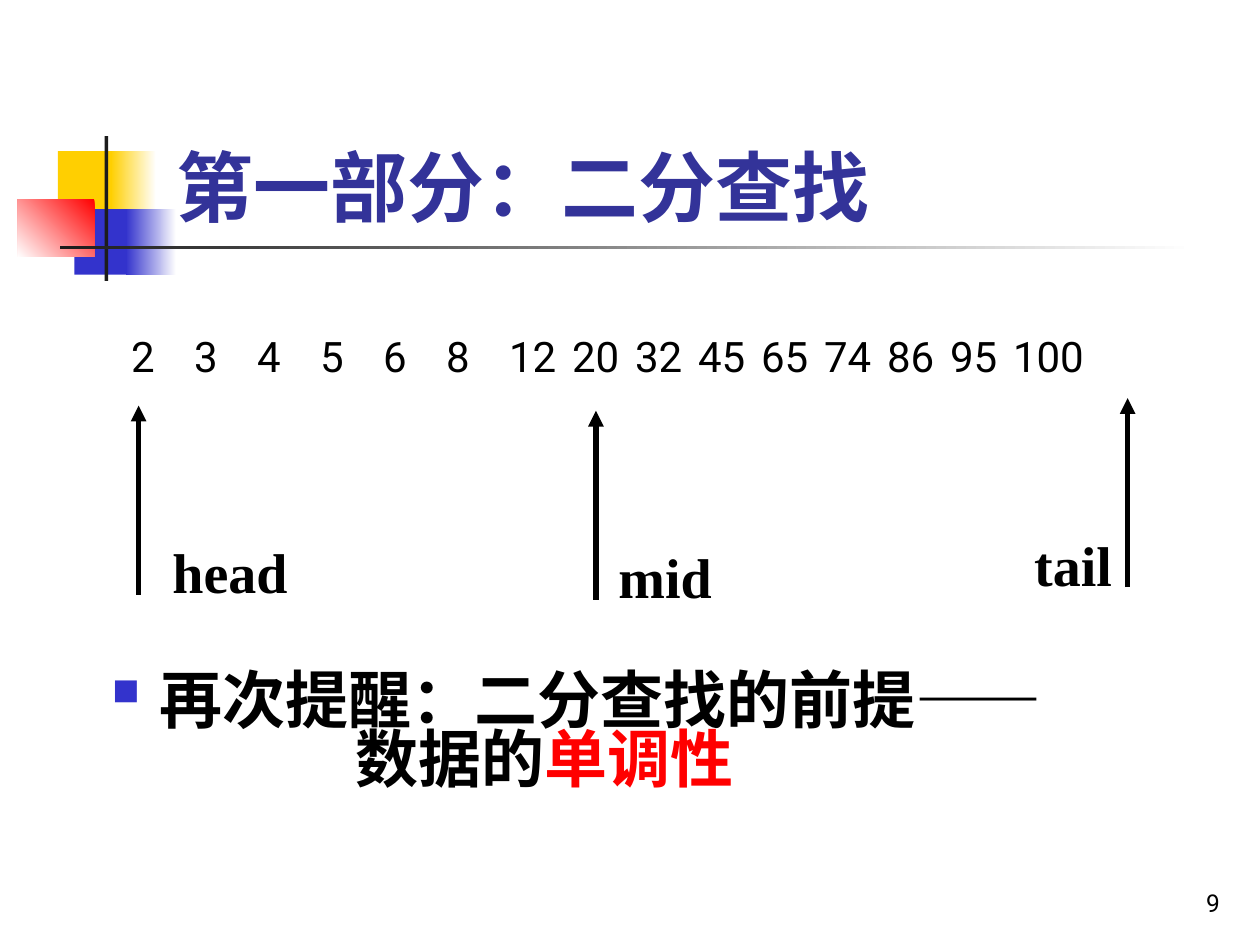
from lxml.etree import SubElement
from pptx import Presentation
from pptx.dml.color import RGBColor
from pptx.enum.shapes import MSO_CONNECTOR, MSO_SHAPE
from pptx.enum.text import MSO_ANCHOR, MSO_AUTO_SIZE, PP_ALIGN
from pptx.oxml.ns import qn
from pptx.util import Inches, Pt

COLORS = {
    "yellow": "FFCF01",
    "blue": "3333CC",
    "red": "FF0000",
    "white": "FFFFFF",
    "charcoal": "1C1C1C",
    "title": "333399",
    "text": "000000",
}
CHINESE_FONT = "Noto Sans CJK SC"
NUMBERS = [2, 3, 4, 5, 6, 8, 12, 20, 32, 45, 65, 74, 86, 95, 100]
SINGLE_DIGITS = 6
SINGLE_STEP = 2.61 / SINGLE_DIGITS
DOUBLE_STEP = 0.54
ARROW_LENGTH = 1.5


def color(name):
    return RGBColor.from_string(COLORS[name])


def place(shape, left, top, width, height):
    shape.left, shape.top = Inches(left), Inches(top)
    shape.width, shape.height = Inches(width), Inches(height)


def add_block(page, bounds, fill, end_fill=None, angle=180):
    block = page.shapes.add_shape(MSO_SHAPE.RECTANGLE, *map(Inches, bounds))
    block.shadow.inherit = False
    block.line.fill.background()
    if end_fill is None:
        block.fill.solid()
        block.fill.fore_color.rgb = color(fill)
        return
    block.fill.gradient()
    block.fill.gradient_angle = angle
    for stop, name in zip(block.fill.gradient_stops, (fill, end_fill)):
        stop.color.rgb = color(name)


def add_ornament(page):
    add_block(page, (0.46, 1.2, 0.48, 0.52), "yellow")
    add_block(page, (0.88, 1.2, 0.36, 0.52), "white", "yellow")
    add_block(page, (0.59, 1.66, 0.46, 0.52), "blue")
    add_block(page, (1, 1.66, 0.4, 0.52), "white", "blue")
    add_block(page, (0.14, 1.58, 0.61, 0.46), "red", "white", 225)
    add_block(page, (0.83, 1.08, 0.03, 1.15), "charcoal")
    add_block(page, (0.48, 1.95, 9, 0.03), "white", "charcoal")


def style(para, size, font="Roboto", fill="text", bold=False):
    para.font.size = Pt(size)
    para.font.name = font
    para.font.bold = bold
    para.font.color.rgb = color(fill)
    defaults = para._p.pPr.find(qn("a:defRPr"))
    SubElement(defaults, qn("a:ea"), typeface=CHINESE_FONT)


def indent(para, left, first=0):
    properties = para._p.get_or_add_pPr()
    properties.set("marL", str(Inches(left)))
    properties.set("indent", str(Inches(first)))
    return properties


def add_text_box(page, bounds):
    box = page.shapes.add_textbox(*map(Inches, bounds))
    box.text_frame.word_wrap = True
    return box.text_frame


def fill_title(page):
    title = page.shapes.title
    place(title, 1.3, 0.84, 6.83, 1.05)
    frame = title.text_frame
    frame.auto_size = MSO_AUTO_SIZE.NONE
    frame.vertical_anchor = MSO_ANCHOR.BOTTOM
    para = frame.paragraphs[0]
    para.text = "第一部分：二分查找"
    para.alignment = PP_ALIGN.LEFT
    style(para, 44, fill="title", bold=True)


def fill_numbers(page):
    body = page.placeholders[1]
    place(body, 0.94, 2.57, 8.31, 0.65)
    body.text_frame.auto_size = MSO_AUTO_SIZE.NONE
    para = body.text_frame.paragraphs[0]
    para.add_run().text = "\t".join(map(str, NUMBERS))
    para.space_before = Pt(0)
    properties = indent(para, 0)
    SubElement(properties, qn("a:buNone"))
    tabs = SubElement(properties, qn("a:tabLst"))
    for index in range(1, len(NUMBERS)):
        singles = min(index, SINGLE_DIGITS)
        position = singles * SINGLE_STEP + (index - singles) * DOUBLE_STEP
        SubElement(tabs, qn("a:tab"), pos=str(Inches(position)), algn="l")
    style(para, 24)


def add_pointer(page, name, x, tip, label_left, label_width):
    arrow = page.shapes.add_connector(
        MSO_CONNECTOR.STRAIGHT,
        Inches(x), Inches(tip + ARROW_LENGTH), Inches(x), Inches(tip),
    )
    arrow.line.color.rgb = color("text")
    arrow.line.width = Pt(3)
    SubElement(arrow.line._get_or_add_ln(), qn("a:tailEnd"), type="triangle")
    SubElement(arrow._element.spPr, qn("a:effectLst"))
    frame = add_text_box(page, (label_left, tip + 1, label_width, 0.64))
    para = frame.paragraphs[0]
    para.text = name
    style(para, 32, "Times New Roman", bold=True)


def add_bullet(properties):
    bullet_color = SubElement(properties, qn("a:buClr"))
    SubElement(bullet_color, qn("a:srgbClr"), val=COLORS["blue"])
    SubElement(properties, qn("a:buSzPct"), val="60000")
    SubElement(properties, qn("a:buChar"), char="■")


def add_reminder(page):
    frame = add_text_box(page, (0.79, 5.36, 8.5, 1.08))
    first, second = frame.paragraphs[0], frame.add_paragraph()
    first.text = "再次提醒：二分查找的前提——"
    second.add_run().text = "数据的"
    emphasis = second.add_run()
    emphasis.text = "单调性"
    for para in (first, second):
        para.line_spacing = 0.7
        para.space_before = Pt(3)
    add_bullet(indent(first, 0.38, -0.38))
    indent(second, 1.93)
    for para in (first, second):
        style(para, 36, CHINESE_FONT, bold=True)
    emphasis.font.color.rgb = color("red")


def add_page_number(page):
    frame = add_text_box(page, (7.7, 6.83, 2.08, 0.5))
    frame.vertical_anchor = MSO_ANCHOR.BOTTOM
    para = frame.paragraphs[0]
    para.text = "9"
    para.alignment = PP_ALIGN.RIGHT
    style(para, 14)


def main():
    deck = Presentation()
    deck.slide_width, deck.slide_height = Inches(10), Inches(7.5)
    page = deck.slides.add_slide(deck.slide_layouts[1])
    add_ornament(page)
    fill_title(page)
    fill_numbers(page)
    add_pointer(page, "head", 1.1, 3.22, 1.27, 1.25)
    add_pointer(page, "mid", 4.73, 3.26, 4.81, 1.25)
    add_pointer(page, "tail", 8.95, 3.16, 8.11, 0.92)
    add_reminder(page)
    add_page_number(page)
    deck.save("out.pptx")


if __name__ == "__main__":
    main()
